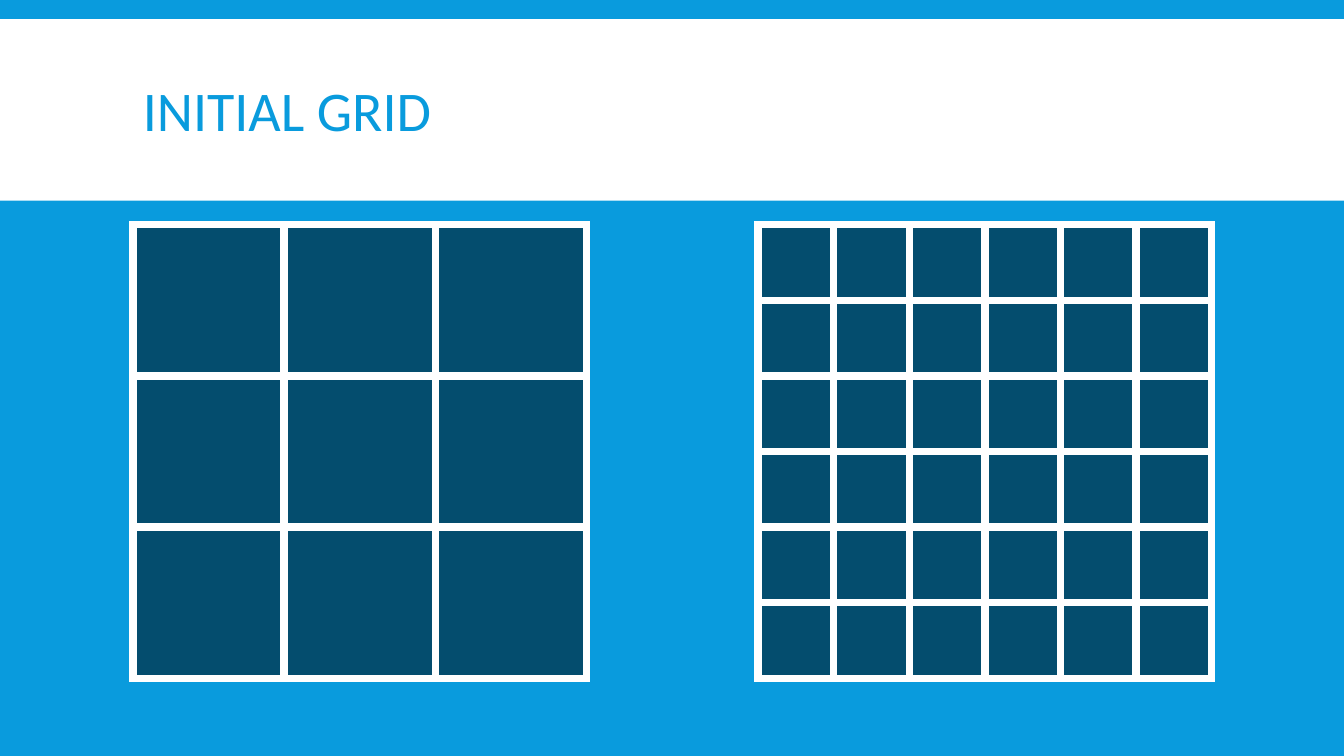
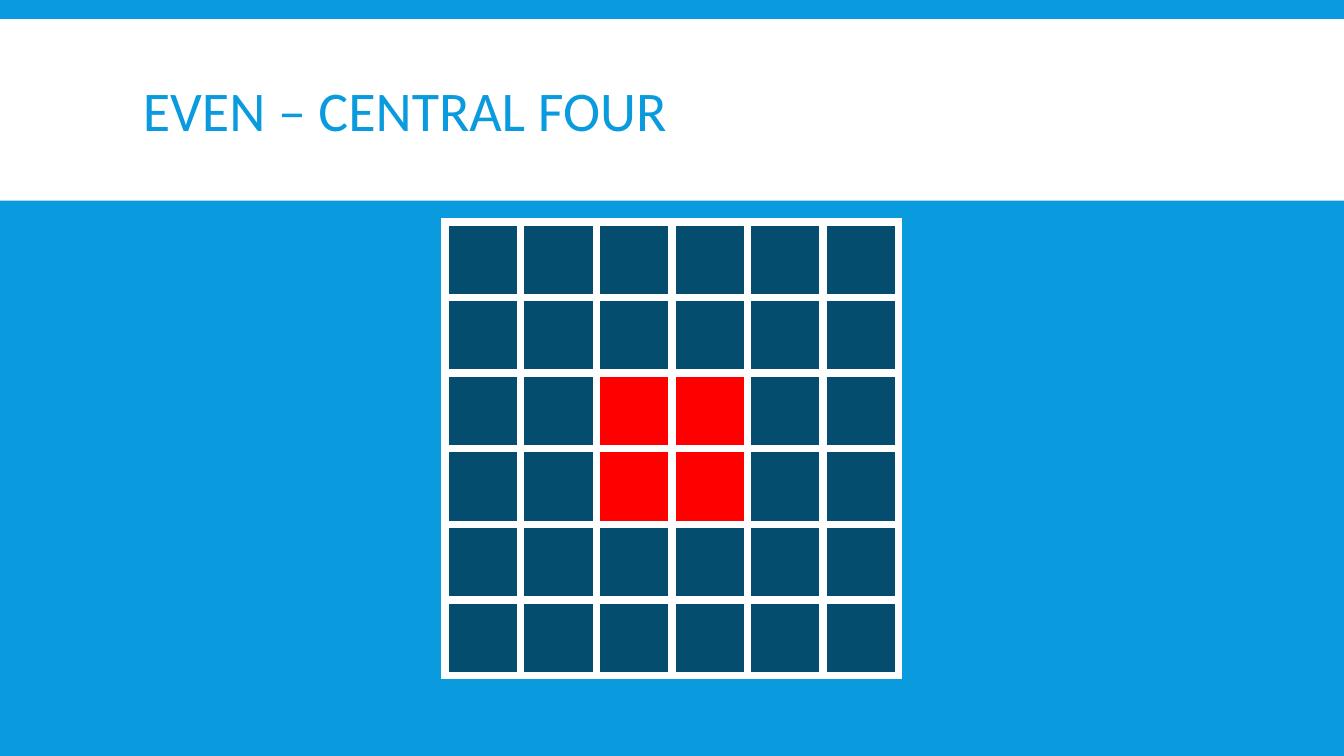
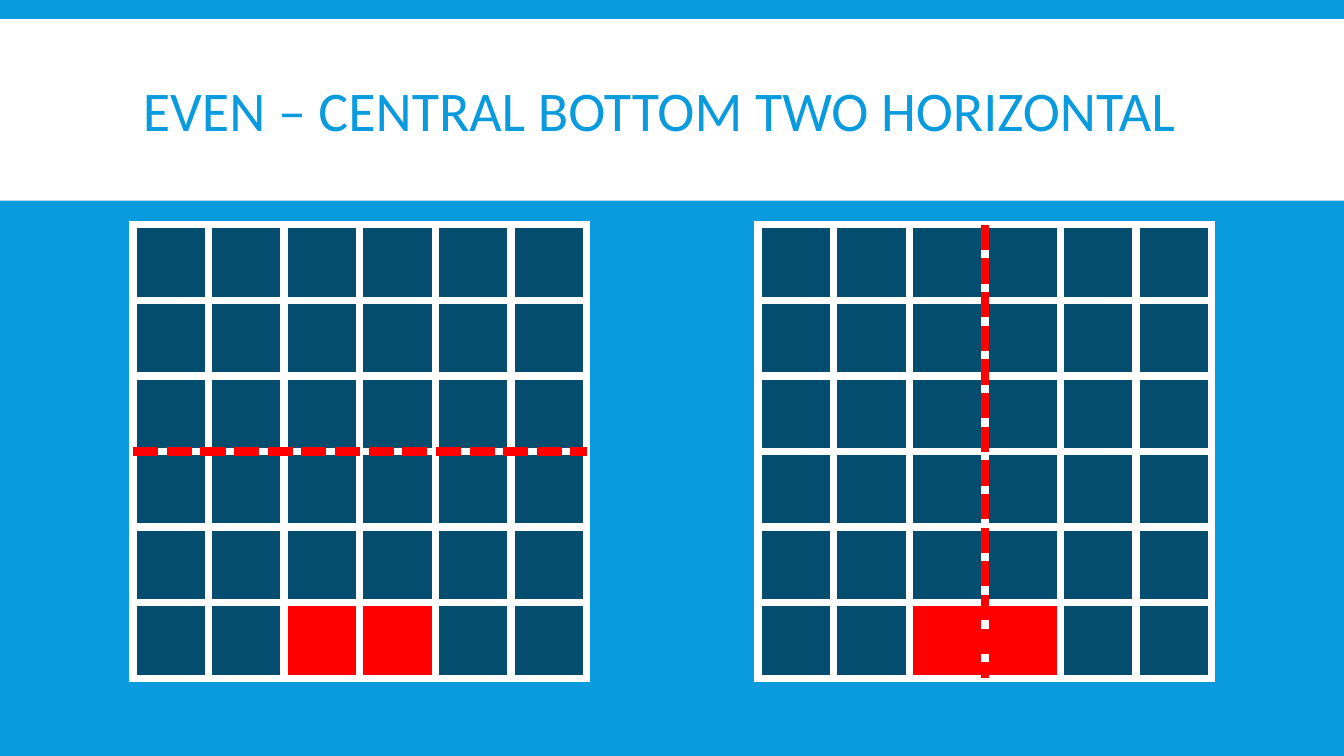
from dataclasses import dataclass

from lxml.etree import SubElement
from pptx import Presentation
from pptx.dml.color import RGBColor
from pptx.enum.dml import MSO_LINE
from pptx.enum.shapes import MSO_CONNECTOR, MSO_SHAPE
from pptx.enum.text import MSO_ANCHOR
from pptx.oxml.ns import qn
from pptx.presentation import Presentation as Deck
from pptx.slide import Slide
from pptx.table import _Cell
from pptx.util import Pt

BLUE = "099BDD"
NAVY = "044D6E"
RED = "FF0000"
WHITE = "FFFFFF"
FONT = "Calibri"

SLIDE_WIDTH = 960
SLIDE_HEIGHT = 540
GRID_SIZE = 324
LINE_WIDTH = 6
LEFT_GRID = (95, 160.5)
RIGHT_GRID = (541.5, 160.5)
MIDDLE_GRID = (318, 158.5)


@dataclass(frozen=True)
class Grid:
    position: tuple[float, float]
    count: int = 6
    marked: frozenset[tuple[int, int]] = frozenset()
    horizontal_axis: bool = False
    vertical_axis: bool = False


@dataclass(frozen=True)
class Page:
    title: str
    grids: tuple[Grid, ...]


CENTRAL_FOUR = frozenset((row, column) for row in (2, 3) for column in (2, 3))
BOTTOM_TWO = frozenset((5, column) for column in (2, 3))

PAGES = (
    Page("INITIAL GRID", (Grid(LEFT_GRID, count=3), Grid(RIGHT_GRID))),
    Page("EVEN – CENTRAL FOUR", (Grid(MIDDLE_GRID, marked=CENTRAL_FOUR),)),
    Page(
        "EVEN – CENTRAL BOTTOM TWO HORIZONTAL",
        (
            Grid(LEFT_GRID, marked=BOTTOM_TWO, horizontal_axis=True),
            Grid(RIGHT_GRID, marked=BOTTOM_TWO, vertical_axis=True),
        ),
    ),
)


def color(value: str) -> RGBColor:
    return RGBColor.from_string(value)


def add_header(page: Slide, title: str) -> None:
    band = page.shapes.add_shape(
        MSO_SHAPE.RECTANGLE, Pt(0), Pt(13.7), Pt(SLIDE_WIDTH), Pt(129.6)
    )
    band.shadow.inherit = False
    band.fill.solid()
    band.fill.fore_color.rgb = color(WHITE)
    band.line.fill.background()

    box = page.shapes.add_textbox(Pt(95), Pt(22.5), Pt(770), Pt(118.5))
    frame = box.text_frame
    frame.word_wrap = True
    frame.vertical_anchor = MSO_ANCHOR.MIDDLE
    frame.text = title
    para = frame.paragraphs[0]
    para.line_spacing = 0.85
    span = para.runs[0]
    span.font.name = FONT
    span.font.size = Pt(40)
    span.font.color.rgb = color(BLUE)


def style_cell(cell: _Cell, fill: str) -> None:
    properties = cell._tc.get_or_add_tcPr()
    for side in ("a:lnL", "a:lnR", "a:lnT", "a:lnB"):
        border = SubElement(properties, qn(side), w=str(Pt(LINE_WIDTH)))
        paint = SubElement(border, qn("a:solidFill"))
        SubElement(paint, qn("a:srgbClr"), val=WHITE)
    cell.fill.solid()
    cell.fill.fore_color.rgb = color(fill)


def add_grid(page: Slide, grid: Grid) -> None:
    left, top = grid.position
    table = page.shapes.add_table(
        grid.count, grid.count, Pt(left), Pt(top), Pt(GRID_SIZE), Pt(GRID_SIZE)
    ).table
    table.first_row = False
    table.horz_banding = False
    for row in range(grid.count):
        for column in range(grid.count):
            fill = RED if (row, column) in grid.marked else NAVY
            style_cell(table.cell(row, column), fill)


def add_axis(page: Slide, start: tuple[float, float], end: tuple[float, float]) -> None:
    axis = page.shapes.add_connector(
        MSO_CONNECTOR.STRAIGHT, Pt(start[0]), Pt(start[1]), Pt(end[0]), Pt(end[1])
    )
    axis.line.color.rgb = color(RED)
    axis.line.width = Pt(LINE_WIDTH)
    axis.line.dash_style = MSO_LINE.SQUARE_DOT
    SubElement(axis._element.spPr, qn("a:effectLst"))


def add_axes(page: Slide, grid: Grid) -> None:
    left, top = grid.position
    middle_x = left + GRID_SIZE / 2
    middle_y = top + GRID_SIZE / 2
    if grid.horizontal_axis:
        add_axis(page, (left, middle_y), (left + GRID_SIZE, middle_y))
    if grid.vertical_axis:
        add_axis(page, (middle_x, top), (middle_x, top + GRID_SIZE))


def add_page(deck: Deck, content: Page) -> None:
    page = deck.slides.add_slide(deck.slide_layouts[6])
    page.background.fill.solid()
    page.background.fill.fore_color.rgb = color(BLUE)
    add_header(page, content.title)
    for grid in content.grids:
        add_grid(page, grid)
        add_axes(page, grid)


def main() -> None:
    deck = Presentation()
    deck.slide_width = Pt(SLIDE_WIDTH)
    deck.slide_height = Pt(SLIDE_HEIGHT)
    for content in PAGES:
        add_page(deck, content)
    deck.save("out.pptx")


if __name__ == "__main__":
    main()
